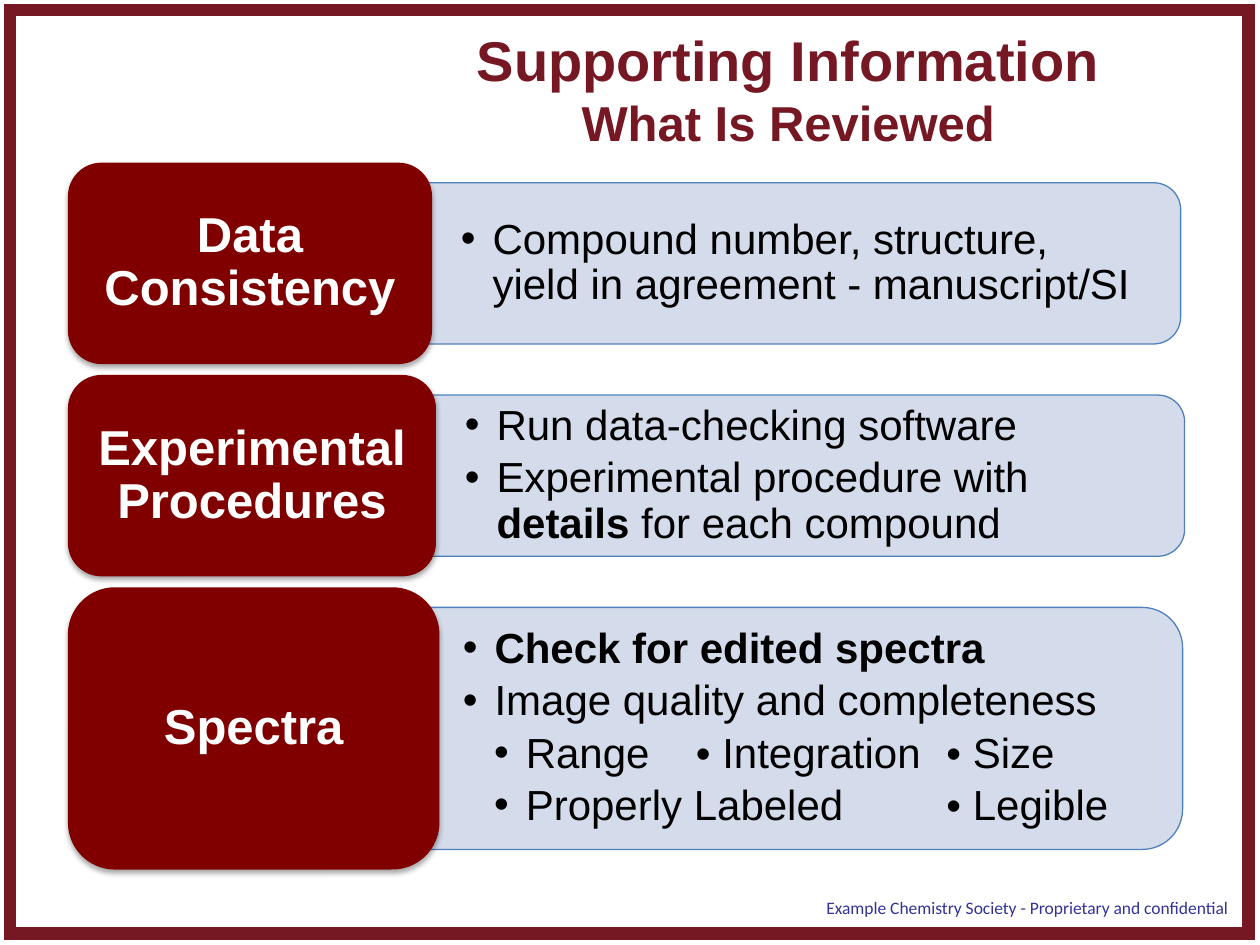
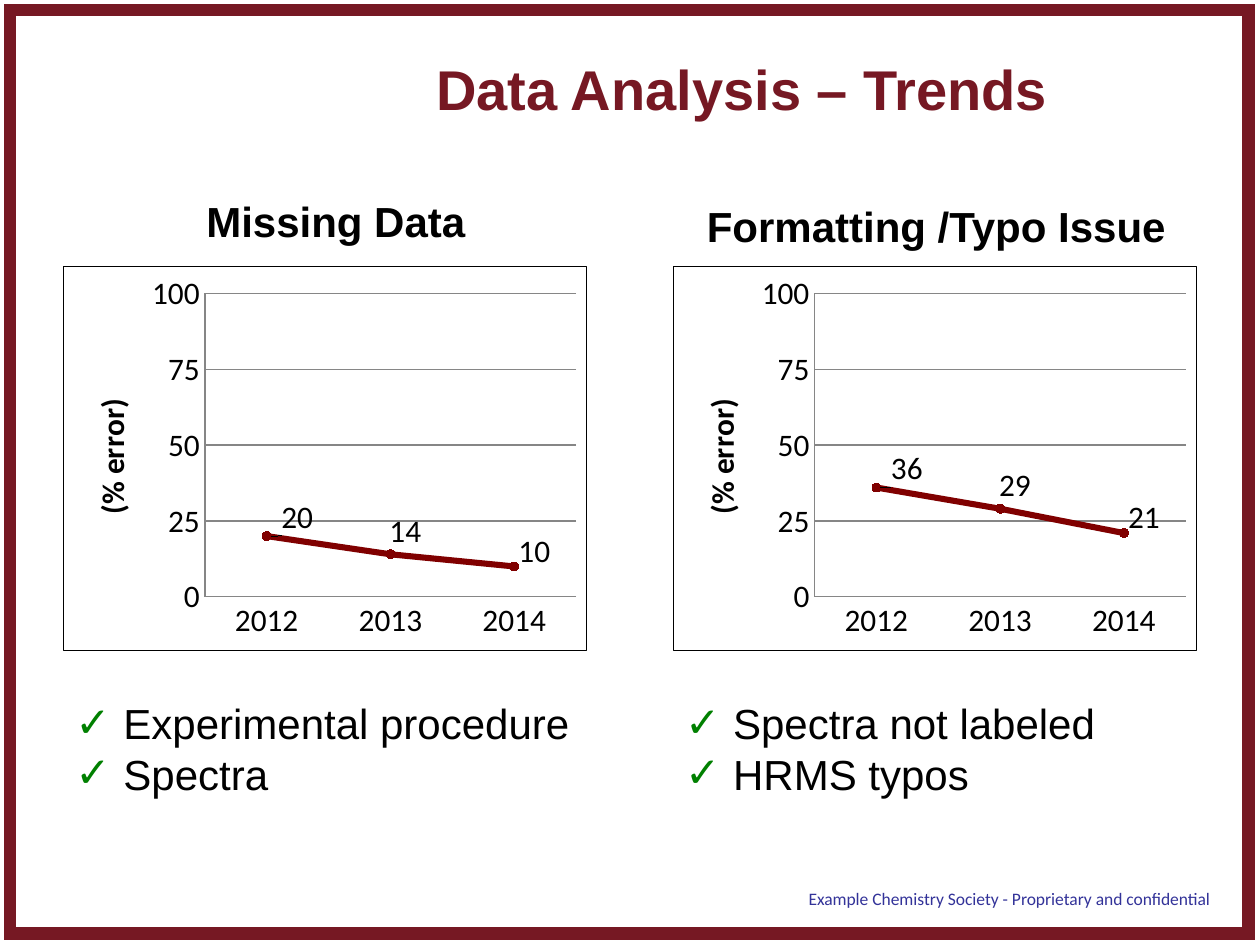
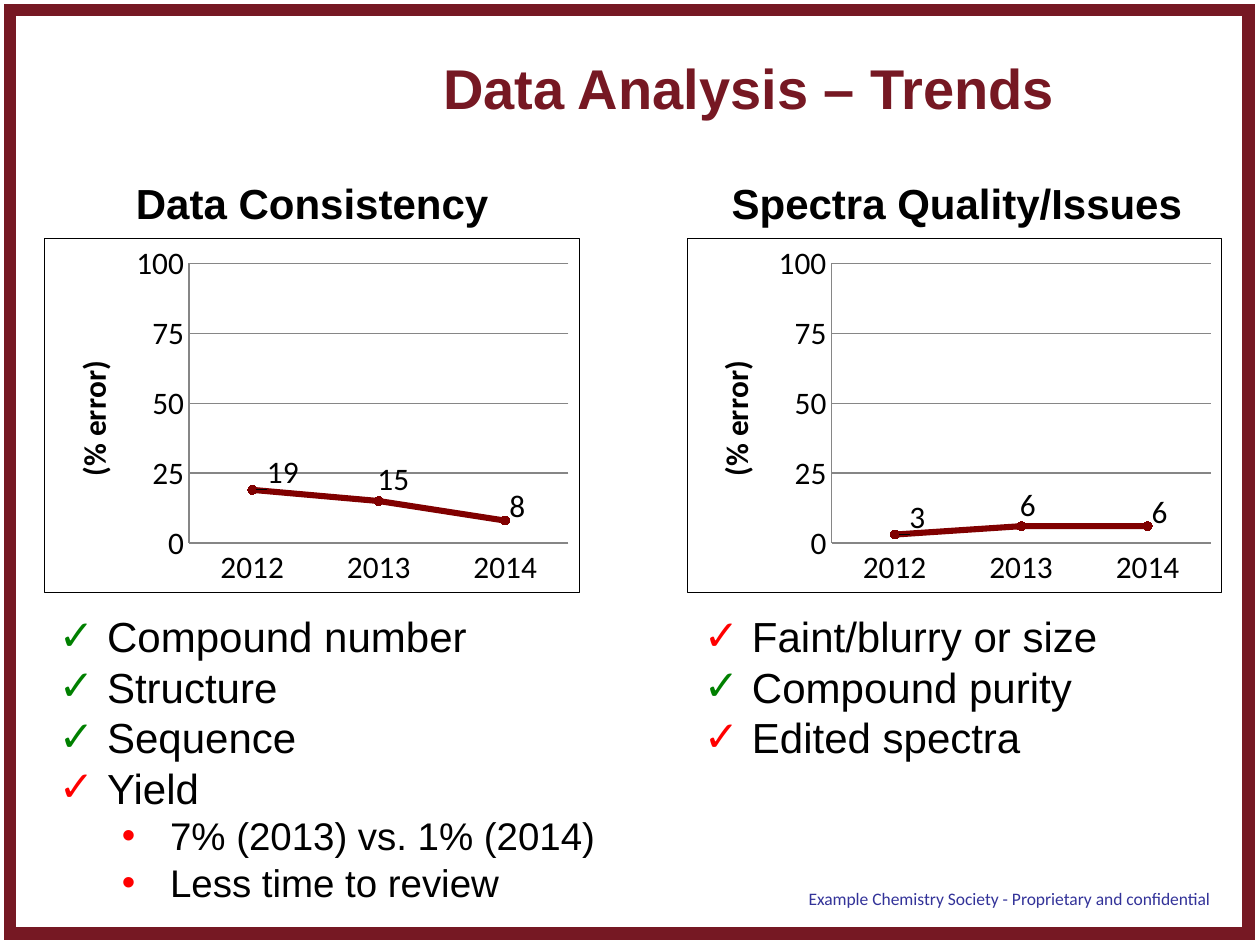
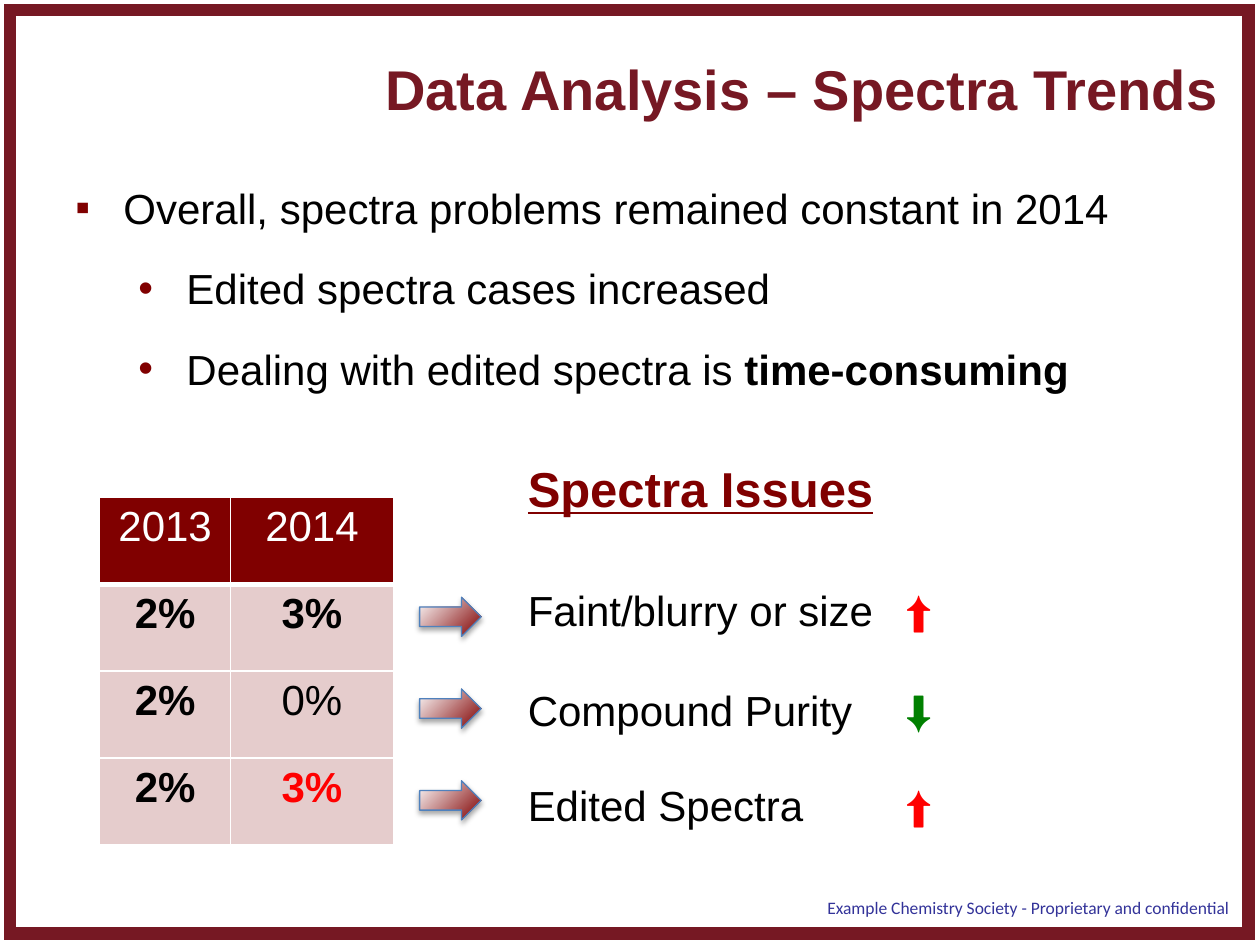
from pptx import Presentation
from pptx.chart.data import CategoryChartData
from pptx.dml.color import RGBColor
from pptx.enum.chart import XL_CHART_TYPE as Chart, XL_LABEL_POSITION as LabelSpot
from pptx.enum.chart import XL_MARKER_STYLE as Marker, XL_TICK_MARK as Tick
from pptx.enum.shapes import MSO_SHAPE as Shape
from pptx.enum.text import MSO_ANCHOR as Anchor, PP_ALIGN as Align
from pptx.oxml import parse_xml
from pptx.oxml.ns import nsdecls
from pptx.util import Cm, Pt

CRIMSON = RGBColor(0x76, 0x18, 0x23)
MAROON = RGBColor(0x80, 0x00, 0x00)
PALE_BLUE = RGBColor(0xD0, 0xD8, 0xE8)
BLUE = RGBColor(0x4F, 0x81, 0xBD)
INDIGO = RGBColor(0x33, 0x33, 0x99)
GREEN = RGBColor(0x00, 0x80, 0x00)
RED = RGBColor(0xFF, 0x00, 0x00)
GREY = RGBColor(0x86, 0x86, 0x86)
BLACK = RGBColor(0x00, 0x00, 0x00)
WHITE = RGBColor(0xFF, 0xFF, 0xFF)

BODY = {"name": "Arial", "size": Pt(24), "rgb": BLACK}
HEADING = {**BODY, "bold": True}
TITLE = {"name": "Arial", "size": Pt(32), "bold": True, "rgb": CRIMSON}
LABEL = {"name": "Arial", "size": Pt(28), "bold": True, "rgb": WHITE}
ISSUES = {**LABEL, "rgb": MAROON, "underline": True}
FOOTER = {"name": "Calibri", "size": Pt(10), "rgb": INDIGO}
CENTRED = {"alignment": Align.CENTER}
SHADOW = ('<a:outerShdw blurRad="39370" dist="22860" dir="5400000" rotWithShape="0">'
          '<a:srgbClr val="000000"><a:alpha val="35000"/></a:srgbClr></a:outerShdw>')


def insert(parent, index, markup):
    holder = parse_xml(f'<holder {nsdecls("a", "c")}>{markup}</holder>')
    for step, child in enumerate(list(holder)):
        parent.insert(index + step, child)


def write(frame, lines, font, **frame_format):
    for key, value in {"word_wrap": False, **frame_format}.items():
        setattr(frame, key, value)
    for number, (spans, layout) in enumerate(lines):
        para = frame.add_paragraph() if number else frame.paragraphs[0]
        for key, value in layout.items():
            if key not in ("bullet", "tabs"):
                setattr(para, key, value)
        settings = para._p.get_or_add_pPr()
        if "bullet" in layout:
            sign, colour, left = layout["bullet"]
            hang = 0.64 if colour == BLACK else 0.97
            settings.set("marL", str(Cm(left)))
            settings.set("indent", str(-Cm(hang)))
            insert(settings, len(settings),
                   f'<a:buClr><a:srgbClr val="{colour}"/></a:buClr>'
                   f'<a:buFont typeface="Arial"/><a:buChar char="{sign}"/>')
        if "tabs" in layout:
            stops = "".join(f'<a:tab pos="{Cm(stop)}" algn="l"/>' for stop in layout["tabs"])
            insert(settings, len(settings), f"<a:tabLst>{stops}</a:tabLst>")
        for text, changes in [(spans, {})] if isinstance(spans, str) else spans:
            span = para.add_run()
            span.text = text
            for key, value in {**font, **changes}.items():
                setattr(span.font.color if key == "rgb" else span.font, key, value)


deck = Presentation()
deck.slide_width, deck.slide_height = Cm(25.4), Cm(19.05)

TREND_TITLE = "Data Analysis – Trends"
titles = [
    ([("Supporting Information", CENTRED),
      ([("What Is Reviewed", {"size": Pt(28)})], CENTRED)],
     (9.3, 0.38, 13.18, 2.82), (16.41, 17.96)),
    ([(TREND_TITLE, CENTRED)], (7.16, 0.41, 15.6, 2.72), (16.05, 17.78)),
    ([(TREND_TITLE, CENTRED)], (6.3, 0.74, 17.6, 2.03), (16.05, 17.78)),
    ([("Data Analysis – Spectra Trends", {})], (7.52, 0.97, 17.45, 1.63), (16.43, 17.96)),
]
pages = []
for lines, place, footer_corner in titles:
    page = deck.slides.add_slide(deck.slide_layouts[6])
    pages.append(page)
    frame = page.shapes.add_shape(Shape.RECTANGLE, *map(Cm, (0.2, 0.2, 24.97, 18.62)))
    frame.shadow.inherit = False
    frame.fill.background()
    frame.line.color.rgb = CRIMSON
    frame.line.width = Pt(7)
    insert(frame._element.spPr.xpath("a:ln")[0], 1, '<a:miter lim="800000"/>')
    box = page.shapes.add_textbox(*map(Cm, place))
    write(box.text_frame, lines, TITLE, vertical_anchor=Anchor.MIDDLE)
    box = page.shapes.add_textbox(*map(Cm, (*footer_corner, 8.74, 0.69)))
    write(box.text_frame, [("Example Chemistry Society - Proprietary and confidential", {})], FOOTER)

review_page, *trend_pages, spectra_page = pages

PANEL_WIDTH = 15.2
point = {"line_spacing": 0.9, "space_after": Pt(4), "bullet": ("•", BLACK, 0.64)}
subpoint = {**point, "bullet": ("•", BLACK, 1.27), "tabs": (4.7, 9.75)}
reviews = [
    ("Data Consistency", 7.34, 4.06, 8.6, [
        ("Compound number, structure, yield in agreement - manuscript/SI", point)]),
    ("Experimental Procedures", 7.42, 4.06, 8.68, [
        ("Run data-checking software", point),
        ([("Experimental procedure with", {}), (" details ", {"bold": True}),
          ("for each compound", {})], point)]),
    ("Spectra", 7.49, 5.69, 8.64, [
        ([("Check for edited spectra", {"bold": True})], point),
        ("Image quality and completeness", point),
        ("Range\t• Integration\t• Size", subpoint),
        ("Properly Labeled\t• Legible", subpoint)]),
]
top = 3.28
for name, label_width, height, panel_left, lines in reviews:
    panel_height = height - 0.81
    panel = review_page.shapes.add_shape(
        Shape.ROUND_2_SAME_RECTANGLE, Cm(panel_left + (PANEL_WIDTH - panel_height) / 2),
        Cm(top + (height - PANEL_WIDTH) / 2), Cm(panel_height), Cm(PANEL_WIDTH))
    panel.rotation = 90
    panel.shadow.inherit = False
    panel.fill.solid()
    panel.fill.fore_color.rgb = PALE_BLUE
    insert(panel._element.spPr.xpath("a:solidFill/a:srgbClr")[0], 0, '<a:alpha val="90000"/>')
    panel.line.color.rgb = BLUE
    panel.line.width = Pt(0.75)

    box = review_page.shapes.add_textbox(
        Cm(panel_left), Cm(top + 0.56), Cm(15.06), Cm(height - 1.12))
    write(box.text_frame, lines, BODY, word_wrap=True, vertical_anchor=Anchor.MIDDLE,
          margin_left=Cm(0.69), margin_right=Cm(0.69),
          margin_top=Cm(0.36), margin_bottom=Cm(0.36))

    label = review_page.shapes.add_shape(
        Shape.ROUNDED_RECTANGLE, Cm(1.37), Cm(top), Cm(label_width), Cm(height))
    label.shadow.inherit = False
    insert(label._element.spPr.xpath("a:effectLst")[0], 0, SHADOW)
    label.fill.solid()
    label.fill.fore_color.rgb = MAROON
    label.line.fill.background()
    write(label.text_frame, [(name, {**CENTRED, "line_spacing": 0.9})], LABEL,
          word_wrap=True, vertical_anchor=Anchor.MIDDLE,
          margin_left=Cm(0.3), margin_right=Cm(0.3),
          margin_top=Cm(0.15), margin_bottom=Cm(0.15))
    top += height + 0.22

fixed = {"bullet": ("✓", GREEN, 0.97)}
still_open = {"bullet": ("✓", RED, 0.97)}
detail = {"bullet": ("•", RED, 2.24)}
small = {"size": Pt(22)}
missing_data, typo_issues = trend_pages
trends = [
    (missing_data, (1.27, 5.36, 10.57, 7.77), (20, 14, 10),
     "Missing Data", (3.91, 3.81, 5.79, 1.27), (1.27, 13.94, 10.49, 2.31),
     [("Experimental procedure", fixed), ("Spectra", fixed)]),
    (missing_data, (13.56, 5.36, 10.57, 7.77), (36, 29, 21),
     "Formatting /Typo Issue", (14, 3.91, 10.13, 1.27), (13.56, 13.94, 8.79, 2.31),
     [("Spectra not labeled", fixed), ("HRMS typos", fixed)]),
    (typo_issues, (0.89, 4.8, 10.8, 7.16), (19, 15, 8),
     "Data Consistency", (2.49, 3.45, 7.65, 1.27), (0.94, 12.19, 11.38, 6.25),
     [("Compound number", fixed), ("Structure", fixed), ("Sequence", fixed),
      ("Yield", still_open), ([("7% (2013) vs. 1% (2014)", small)], detail),
      ([("Less time to review", small)], detail)]),
    (typo_issues, (13.84, 4.8, 10.8, 7.16), (3, 6, 6),
     "Spectra Quality/Issues", (14.5, 3.45, 9.73, 1.27), (13.94, 12.19, 8.74, 3.33),
     [("Faint/blurry or size", still_open), ("Compound purity", fixed),
      ("Edited spectra", still_open)]),
]
EDGES = [("xMode", "edge"), ("yMode", "edge")]
PLOT_LAYOUT = [("layoutTarget", "inner"), *EDGES,
               ("x", 0.27), ("y", 0.07), ("w", 0.71), ("h", 0.79)]
TITLE_LAYOUT = [*EDGES, ("x", 0.04), ("y", 0.33)]
LABEL_SHIFTS = [[("x", 0.01), ("y", -0.05)], [("x", -0.02), ("y", -0.06)],
                [("x", -0.01), ("y", -0.04)]]
NO_LEADERS = ('<c:extLst><c:ext uri="{CE6537A1-D6FC-4f65-9D91-7224C49458BB}" '
              'xmlns:c15="http://schemas.microsoft.com/office/drawing/2012/chart">'
              '<c15:showLeaderLines val="0"/></c:ext></c:extLst>')

for page, place, values, heading, heading_place, list_place, lines in trends:
    data = CategoryChartData()
    data.categories = ["2012", "2013", "2014"]
    data.add_series("Series 1", values)
    chart = page.shapes.add_chart(Chart.LINE_MARKERS, *map(Cm, place), data).chart
    chart.has_legend = False
    chart.has_title = False
    chart.font.name = "Calibri"
    chart.font.size = Pt(18)
    chart.font.color.rgb = BLACK
    chart.plots[0].vary_by_categories = False

    series = chart.plots[0].series[0]
    series.smooth = False
    series.format.line.color.rgb = MAROON
    series.format.line.width = Pt(3.5)
    series.marker.style = Marker.CIRCLE
    series.marker.size = 5
    series.marker.format.fill.solid()
    series.marker.format.fill.fore_color.rgb = MAROON
    series.marker.format.line.color.rgb = MAROON
    series.data_labels.show_value = True
    for number in range(len(values)):
        series.points[number].data_label.position = LabelSpot.RIGHT

    scale = chart.value_axis
    for key, value in {"minimum_scale": 0, "maximum_scale": 100, "major_unit": 25,
                       "has_major_gridlines": True}.items():
        setattr(scale, key, value)
    scale.major_gridlines.format.line.color.rgb = GREY
    for axis in (scale, chart.category_axis):
        axis.major_tick_mark = Tick.NONE
        axis.minor_tick_mark = Tick.NONE
        axis.format.line.color.rgb = GREY
    caption = scale.axis_title.text_frame
    caption.text = "(% error)"
    caption._txBody.bodyPr.set("rot", "-5400000")
    for key, value in {"name": "Calibri", "size": Pt(18), "bold": True}.items():
        setattr(caption.paragraphs[0].runs[0].font, key, value)

    space = chart._chartSpace
    arranged = [(space.xpath("c:chart/c:plotArea")[0], 0, PLOT_LAYOUT),
                (space.xpath(".//c:valAx/c:title")[0], 1, TITLE_LAYOUT)]
    arranged += [(spot, 1, shift) for spot, shift in zip(space.xpath(".//c:dLbl"), LABEL_SHIFTS)]
    for part, index, layout in arranged:
        for existing in part.xpath("c:layout"):
            part.remove(existing)
        entries = "".join(f'<c:{tag} val="{value}"/>' for tag, value in layout)
        insert(part, index, f"<c:layout><c:manualLayout>{entries}</c:manualLayout></c:layout>")
    labels = space.xpath(".//c:ser/c:dLbls")[0]
    insert(labels, len(labels), NO_LEADERS)
    insert(space, space.index(space.xpath("c:chart")[0]) + 1,
           '<c:spPr><a:noFill/><a:ln w="9525"><a:solidFill><a:srgbClr val="000000"/>'
           '</a:solidFill></a:ln></c:spPr>')

    box = page.shapes.add_textbox(*map(Cm, heading_place))
    write(box.text_frame, [(heading, {})], HEADING)
    box = page.shapes.add_textbox(*map(Cm, list_place))
    write(box.text_frame, lines, BODY)

finding = {"line_spacing": 0.8, "bullet": ("▪", MAROON, 0.97)}
subfinding = {"line_spacing": 0.8, "space_before": Pt(23), "bullet": ("•", MAROON, 2.24)}
box = spectra_page.shapes.add_textbox(*map(Cm, (1.27, 3.75, 22.86, 4.42)))
write(box.text_frame, [
    ("Overall, spectra problems remained constant in 2014", finding),
    ("Edited spectra cases increased", subfinding),
    ([("Dealing with edited spectra is ", {}), ("time-consuming", {"bold": True})], subfinding),
], BODY, word_wrap=True)

box = spectra_page.shapes.add_textbox(*map(Cm, (10.39, 9.12, 8.41, 1.45)))
write(box.text_frame, [("Spectra Issues", {})], ISSUES, word_wrap=True)

issues = [("Faint/blurry or size", "⬆", RED, 0), ("Compound Purity", "⬇", GREEN, 28.5),
          ("Edited Spectra", "⬆", RED, 25.5)]
box = spectra_page.shapes.add_textbox(*map(Cm, (10.39, 11.66, 10.41, 5.28)))
write(box.text_frame, [
    ([(f"{issue}\t", {}), (arrow, {"rgb": colour})], {"space_before": Pt(gap), "tabs": (7.62,)})
    for issue, arrow, colour, gap in issues
], BODY, word_wrap=True)

rates = [("2013", "2014"), ("2%", "3%"), ("2%", "0%"), ("2%", "3%")]
table = spectra_page.shapes.add_table(4, 2, *map(Cm, (2.01, 10.03, 5.92, 7))).table
table.horz_banding = False
for column, width in zip(table.columns, (2.64, 3.28)):
    column.width = Cm(width)
for row_number, row in enumerate(rates):
    table.rows[row_number].height = Cm(1.75)
    for column_number, rate in enumerate(row):
        cell = table.cell(row_number, column_number)
        cell.fill.solid()
        cell.fill.fore_color.rgb = MAROON
        settings = cell._tc.get_or_add_tcPr()
        header = row_number == 0
        if not header:
            insert(settings.xpath("a:solidFill/a:srgbClr")[0], 0, '<a:alpha val="20000"/>')
        insert(settings, 0, "".join(
            f'<a:ln{side} w="{Pt(3 if header and side == "B" else 1)}"><a:solidFill>'
            f'<a:srgbClr val="{WHITE}"/></a:solidFill></a:ln{side}>' for side in "LRTB"))
        colour = WHITE if header else RED if (row_number, column_number) == (3, 1) else BLACK
        write(cell.text_frame, [(rate, CENTRED)],
              {**BODY, "rgb": colour, "bold": not header and rate != "0%"}, word_wrap=True)

for number in range(3):
    arrow = spectra_page.shapes.add_shape(
        Shape.RIGHT_ARROW, Cm(8.46), Cm(12.04 + 1.85 * number), Cm(1.24), Cm(0.79))
    arrow.shadow.inherit = False
    insert(arrow._element.spPr.xpath("a:effectLst")[0], 0, SHADOW)
    arrow.fill.gradient()
    for stop, colour in zip(arrow.fill.gradient_stops, (MAROON, WHITE)):
        stop.color.rgb = colour
    gradient = arrow._element.spPr.xpath("a:gradFill")[0]
    for direction in gradient.xpath("a:lin"):
        gradient.remove(direction)
    insert(gradient, 1, '<a:path path="circle"><a:fillToRect l="100000" t="100000"/></a:path>')
    arrow.line.color.rgb = BLUE
    arrow.line.width = Pt(0.75)

deck.save("out.pptx")
